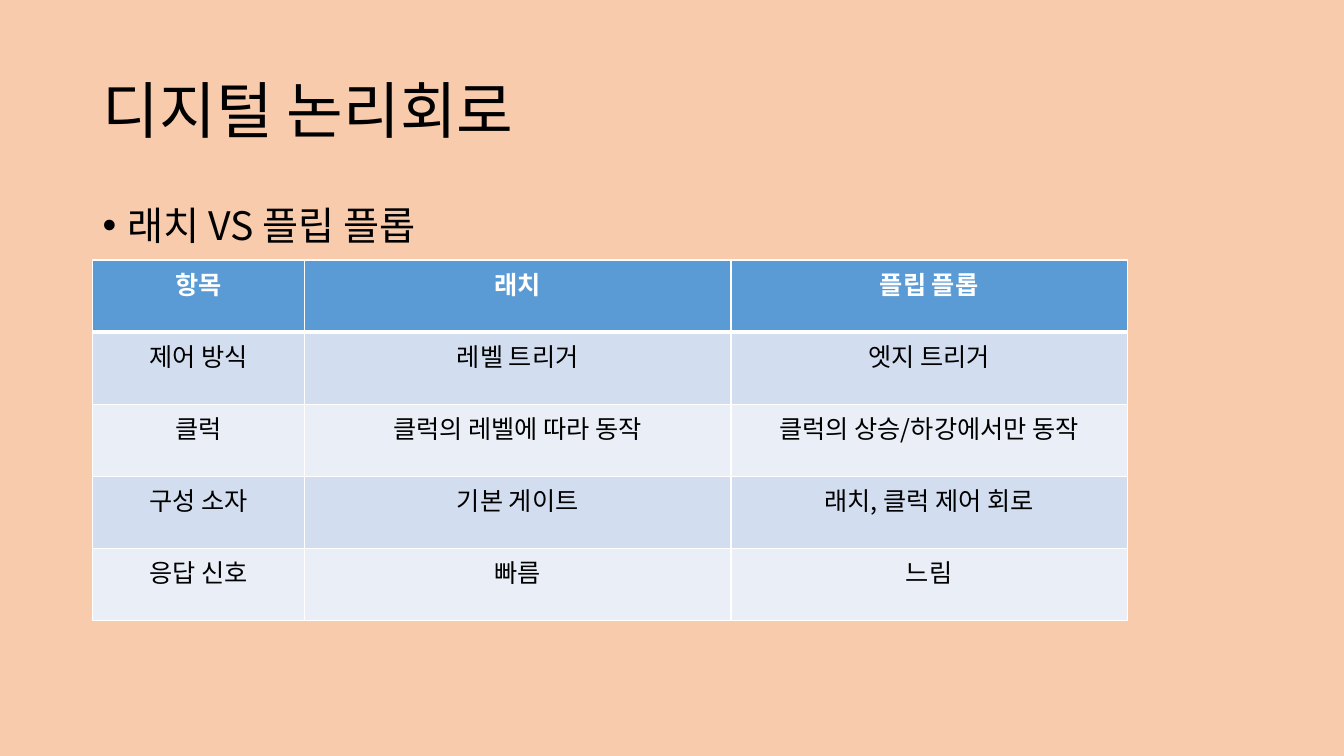
from dataclasses import dataclass

from lxml.etree import SubElement
from pptx import Presentation
from pptx.dml.color import RGBColor
from pptx.enum.text import MSO_ANCHOR, MSO_AUTO_SIZE, PP_ALIGN
from pptx.oxml.ns import qn
from pptx.util import Inches, Pt


@dataclass(frozen=True)
class Theme:
    font: str = "Noto Sans CJK KR"
    background: str = "F8CBAD"
    text: str = "000000"
    header_text: str = "FFFFFF"
    header_fill: str = "5B9BD5"
    band_fills: tuple = ("D2DEEF", "EAEFF7")
    border: str = "FFFFFF"
    title_size: int = 44
    body_size: int = 28
    table_size: int = 18


def write(tf, text, *, font, size, color, bold=False, align=PP_ALIGN.LEFT, spacing=1.0):
    p = tf.paragraphs[0]
    p.alignment = align
    p.line_spacing = spacing
    r = p.add_run()
    r.text = text
    r.font.size = Pt(size)
    r.font.bold = bold
    r.font.color.rgb = RGBColor.from_string(color)
    r.font.name = font
    SubElement(r.font._element, qn("a:ea"), typeface=font)
    return p


class SlideBuilder:
    def __init__(self, prs, theme):
        self.theme = theme
        self.slide = prs.slides.add_slide(prs.slide_layouts[5])
        fill = self.slide.background.fill
        fill.solid()
        fill.fore_color.rgb = RGBColor.from_string(theme.background)

    def title(self, text, left, top, width, height):
        sp = self.slide.shapes.title
        sp.left, sp.top, sp.width, sp.height = map(Inches, (left, top, width, height))
        tf = sp.text_frame
        tf.vertical_anchor = MSO_ANCHOR.MIDDLE
        tf.auto_size = MSO_AUTO_SIZE.NONE
        write(tf, text, font=self.theme.font, size=self.theme.title_size,
              color=self.theme.text, spacing=0.9)

    def bullet(self, text, left, top, width, height):
        sp = self.slide.shapes.add_textbox(*map(Inches, (left, top, width, height)))
        tf = sp.text_frame
        tf.word_wrap = True
        p = write(tf, text, font=self.theme.font, size=self.theme.body_size,
                  color=self.theme.text, spacing=0.9)
        p.space_before = Pt(10)
        pPr = p._p.get_or_add_pPr()
        pPr.set("marL", str(Inches(0.25)))
        pPr.set("indent", str(Inches(-0.25)))
        SubElement(pPr, qn("a:buFont"), typeface="Arial")
        SubElement(pPr, qn("a:buChar"), char="•")

    def borders(self, cell, **widths):
        tcPr = cell._tc.get_or_add_tcPr()
        for side, width in widths.items():
            ln = SubElement(tcPr, qn(f"a:ln{side}"), w=str(Pt(width)))
            fill = SubElement(ln, qn("a:solidFill"))
            SubElement(fill, qn("a:srgbClr"), val=self.theme.border)

    def table(self, rows, left, top, col_widths, height):
        theme = self.theme
        frame = self.slide.shapes.add_table(
            len(rows), len(col_widths),
            *map(Inches, (left, top, sum(col_widths), height)))
        table = frame.table
        for col, width in zip(table.columns, col_widths):
            col.width = Inches(width)
        for i, row in enumerate(rows):
            header = i == 0
            fill = theme.header_fill if header else theme.band_fills[(i - 1) % 2]
            for j, text in enumerate(row):
                cell = table.cell(i, j)
                self.borders(cell, L=1, R=1, T=3 if i == 1 else 1, B=3 if header else 1)
                cell.fill.solid()
                cell.fill.fore_color.rgb = RGBColor.from_string(fill)
                write(cell.text_frame, text, font=theme.font, size=theme.table_size,
                      color=theme.header_text if header else theme.text,
                      bold=header, align=PP_ALIGN.CENTER)


def main():
    prs = Presentation()
    prs.slide_width, prs.slide_height = Inches(13.33), Inches(7.5)
    s = SlideBuilder(prs, Theme())
    s.title("디지털 논리회로", 0.92, 0.4, 11.5, 1.45)
    s.bullet("래치 VS 플립 플롭", 0.92, 2, 11.5, 4.76)
    s.table(
        [
            ("항목", "래치", "플립 플롭"),
            ("제어 방식", "레벨 트리거", "엣지 트리거"),
            ("클럭", "클럭의 레벨에 따라 동작", "클럭의 상승/하강에서만 동작"),
            ("구성 소자", "기본 게이트", "래치, 클럭 제어 회로"),
            ("응답 신호", "빠름", "느림"),
        ],
        0.92, 2.58, (2.1, 4.23, 3.93), 3.58)
    prs.save("out.pptx")


if __name__ == "__main__":
    main()
